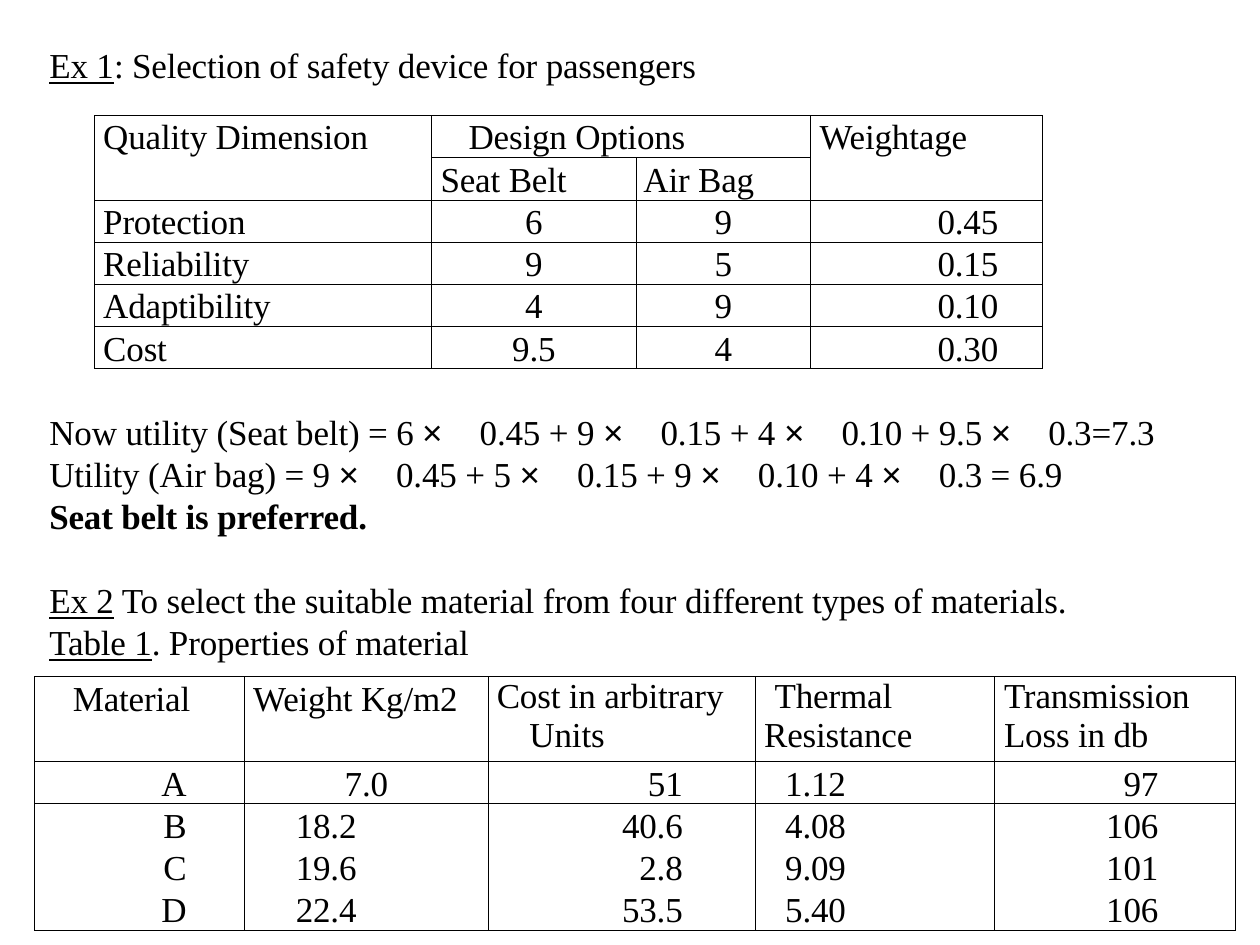
from lxml.etree import SubElement
from pptx import Presentation
from pptx.dml.color import RGBColor
from pptx.enum.text import MSO_ANCHOR, PP_ALIGN
from pptx.oxml.ns import qn
from pptx.util import Pt

BLACK = RGBColor(0, 0, 0)
LEFT, CENTER, RIGHT = PP_ALIGN.LEFT, PP_ALIGN.CENTER, PP_ALIGN.RIGHT
SIDES = {"l": "a:lnL", "r": "a:lnR", "t": "a:lnT", "b": "a:lnB"}
TIMES_SIGN = "× "


class Page:
    """Holds the text style and the slide being filled."""

    serif, sans = "Times New Roman", "Arial"
    size, leading = Pt(20), Pt(24)
    tracking, wide_tracking = -10, 780
    border = Pt(0.5)

    def __init__(self, slide):
        self.slide = slide

    def add_span(self, para, text, underline=False, bold=False):
        span = para.add_run()
        span.text = text
        is_sign = text == TIMES_SIGN
        font = span.font
        font.name = self.sans if is_sign else self.serif
        font.size, font.bold, font.underline = self.size, bold, underline
        font.color.rgb = BLACK
        tracking = self.wide_tracking if is_sign else self.tracking
        font._element.set("spc", str(tracking))

    def add_formula(self, para, formula):
        """Add a formula with each times sign as a widely spaced run."""
        for index, part in enumerate(formula.split(TIMES_SIGN)):
            if index:
                self.add_span(para, TIMES_SIGN)
            self.add_span(para, part)

    def indent(self, para, left, first=0):
        properties = para._p.get_or_add_pPr()
        properties.set("marL", str(Pt(left)))
        properties.set("indent", str(Pt(first)))

    def add_box(self, left, top, width, height, count):
        """Add a text box and return its paragraphs."""
        box = self.slide.shapes.add_textbox(Pt(left), Pt(top), Pt(width), Pt(height))
        frame = box.text_frame
        frame.word_wrap = True
        paras = [frame.paragraphs[0]] + [frame.add_paragraph() for _ in range(count - 1)]
        for para in paras:
            para.line_spacing = self.leading
            self.indent(para, 0.9)
        return paras

    def add_table(self, left, top, widths, heights):
        frame = self.slide.shapes.add_table(
            len(heights), len(widths), Pt(left), Pt(top), Pt(sum(widths)), Pt(sum(heights)))
        table = frame.table
        table.first_row = table.horz_banding = False
        for column, width in zip(table.columns, widths):
            column.width = Pt(width)
        for row, height in zip(table.rows, heights):
            row.height = Pt(height)
        return table

    def style_cell(self, cell, sides="lrtb"):
        """Clear fill and margins, and draw only the given sides."""
        cell.margin_left = cell.margin_right = cell.margin_top = cell.margin_bottom = 0
        cell.vertical_anchor = MSO_ANCHOR.TOP
        properties = cell._tc.get_or_add_tcPr()
        for side, tag in SIDES.items():
            line = SubElement(properties, qn(tag), w=str(self.border))
            if side in sides:
                fill = SubElement(line, qn("a:solidFill"))
                SubElement(fill, qn("a:srgbClr"), val=str(BLACK))
            else:
                SubElement(line, qn("a:noFill"))
        cell.fill.background()

    def fill_cell(self, cell, text, align=LEFT, offset=0, first=0, leading=None):
        """Write text; offset is the gap from the side the text is aligned to."""
        para = cell.text_frame.paragraphs[0]
        para.alignment = align
        para.line_spacing = leading or self.leading
        if align == LEFT:
            self.indent(para, offset, first)
        elif align == RIGHT:
            cell.margin_right = Pt(offset)
        self.add_span(para, text)


def add_safety_table(page):
    table = page.add_table(54, 66, [192.8, 116.6, 100, 132.6], [24.15] * 6)
    for cell in table.iter_cells():
        page.style_cell(cell)
    table.cell(0, 0).merge(table.cell(1, 0))
    table.cell(0, 1).merge(table.cell(0, 2))
    table.cell(0, 3).merge(table.cell(1, 3))

    headings = [(0, 0, "Quality Dimension", 5), (0, 1, "Design Options", 21),
                (0, 3, "Weightage", 5), (1, 1, "Seat Belt", 5), (1, 2, "Air Bag", 4.3)]
    for row, column, text, offset in headings:
        page.fill_cell(table.cell(row, column), text, LEFT, offset)

    ratings = [("Protection", "6", "9", "0.45"), ("Reliability", "9", "5", "0.15"),
               ("Adaptibility", "4", "9", "0.10"), ("Cost", "9.5", "4", "0.30")]
    layout = [(LEFT, 5), (CENTER, 0), (CENTER, 0), (RIGHT, 25.5)]
    for row, values in enumerate(ratings, 2):
        for column, (text, place) in enumerate(zip(values, layout)):
            page.fill_cell(table.cell(row, column), text, *place)


def add_material_table(page):
    table = page.add_table(19.7, 386.6, [120, 139.4, 152.6, 136.6, 137.7], [48.6] + [24.1] * 4)
    row_sides = ["lrtb", "lrtb", "lrt", "lr", "lrb"]
    for row, sides in enumerate(row_sides):
        for column in range(len(table.columns)):
            page.style_cell(table.cell(row, column), sides)

    tight = Pt(22.4)
    headings = [("Material", RIGHT, 31), ("Weight Kg/m2", LEFT, 5),
                ("Cost in arbitrary Units", LEFT, 23.5, -18.7, tight),
                ("Thermal Resistance", LEFT, 5, 6, tight),
                ("Transmission Loss in db", LEFT, 5.5, 0, tight)]
    for column, heading in enumerate(headings):
        page.fill_cell(table.cell(0, column), *heading)
    for column in range(2, 5):
        table.cell(0, column).text_frame.paragraphs[0].space_before = Pt(1.5)

    materials = [("A", "7.0", "51", "1.12", "97"), ("B", "18.2", "40.6", "4.08", "106"),
                 ("C", "19.6", "2.8", "9.09", "101"), ("D", "22.4", "53.5", "5.40", "106")]
    layout = [(RIGHT, 33), (LEFT, 29.3), (RIGHT, 41.5), (LEFT, 17), (RIGHT, 44)]
    for row, values in enumerate(materials, 1):
        for column, (text, place) in enumerate(zip(values, layout)):
            centred = (row, column) == (1, 1)
            page.fill_cell(table.cell(row, column), text, *((CENTER,) if centred else place))


def main():
    deck = Presentation()
    deck.slide_width, deck.slide_height = Pt(720), Pt(540)
    page = Page(deck.slides.add_slide(deck.slide_layouts[6]))

    title, = page.add_box(20.2, 21.5, 663, 31.5, 1)
    title.alignment = PP_ALIGN.JUSTIFY
    page.add_span(title, "Ex 1", underline=True)
    page.add_span(title, ": Selection of safety device for passengers")
    add_safety_table(page)

    belt, bag, verdict, task = page.add_box(20.2, 231.2, 663, 152.6, 4)
    belt.space_before = Pt(1)
    page.add_formula(belt, "Now utility (Seat belt) = 6 × 0.45 + 9 × 0.15 + 4 × 0.10 + 9.5 × 0.3=7.3")
    page.add_formula(bag, "Utility (Air bag) = 9 × 0.45 + 5 × 0.15 + 9 × 0.10 + 4 × 0.3 = 6.9")
    page.add_span(verdict, "Seat belt is preferred.", bold=True)
    task.space_before = page.leading
    page.add_span(task, "Ex 2", underline=True)
    page.add_span(task, " To select the suitable material from four different types of materials.")
    task.add_line_break()
    page.add_span(task, "Table 1", underline=True)
    page.add_span(task, ". Properties of material")
    add_material_table(page)

    deck.save("out.pptx")


if __name__ == "__main__":
    main()
